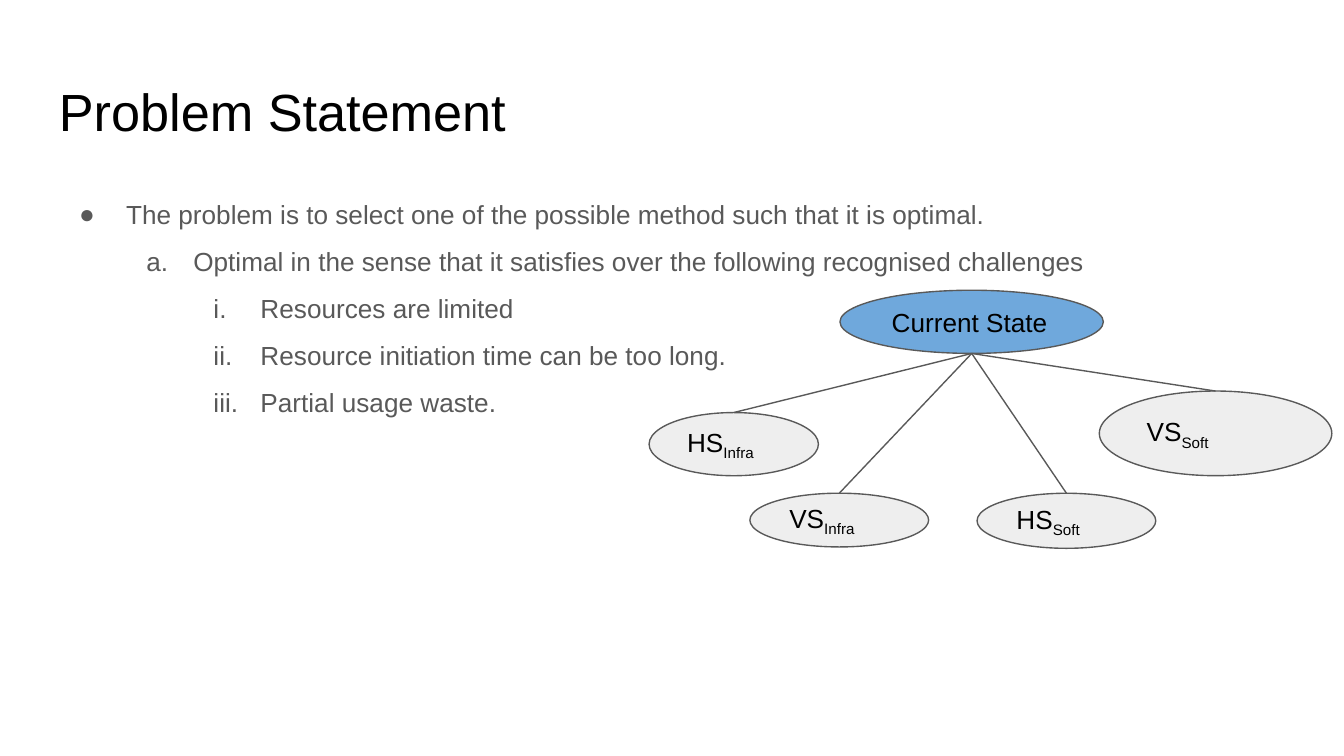
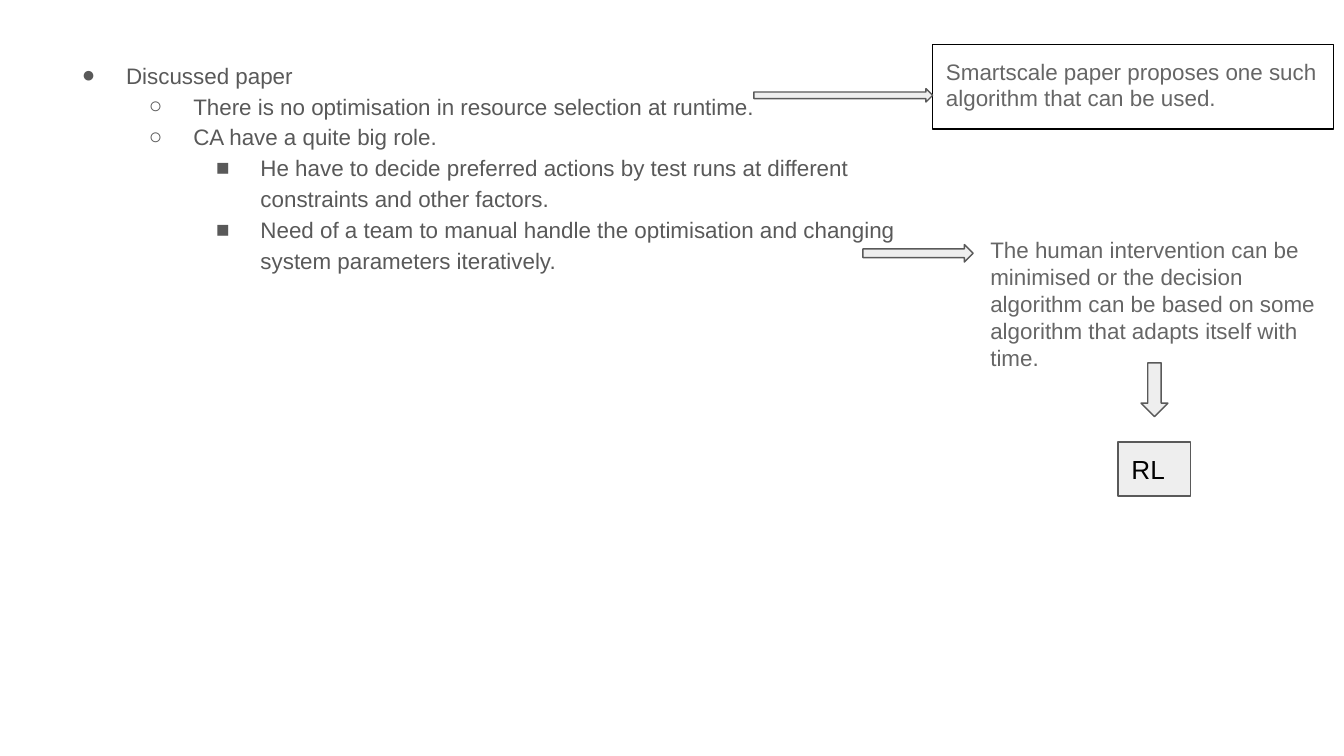
"""Build a two-slide deck on choosing a resource scaling method."""
from dataclasses import dataclass
from typing import NamedTuple

from lxml import etree
from pptx import Presentation
from pptx.dml.color import RGBColor
from pptx.enum.shapes import MSO_CONNECTOR, MSO_SHAPE
from pptx.enum.text import MSO_ANCHOR, PP_ALIGN
from pptx.oxml.ns import qn
from pptx.util import Inches, Pt

ELLIPSE, RECTANGLE = MSO_SHAPE.OVAL, MSO_SHAPE.RECTANGLE
RIGHT_ARROW, DOWN_ARROW = MSO_SHAPE.RIGHT_ARROW, MSO_SHAPE.DOWN_ARROW
STRAIGHT = MSO_CONNECTOR.STRAIGHT
TOP, MIDDLE, LEFT = MSO_ANCHOR.TOP, MSO_ANCHOR.MIDDLE, PP_ALIGN.LEFT
BLANK_LAYOUT = 6


@dataclass(frozen=True)
class Theme:
    """Colours, type and spacing shared by the slides."""
    font: str = "Arial"
    ink: str = "000000"
    body: str = "595959"
    note: str = "666666"
    white: str = "FFFFFF"
    pale: str = "EEEEEE"
    accent: str = "6FA8DC"
    title_size: int = 28
    large_size: int = 14
    small_size: int = 12
    line_width: float = 0.75
    inset: float = 0.1
    indent_step: float = 0.5


THEME = Theme()


class Box(NamedTuple):
    """A rectangle in inches."""
    left: float
    top: float
    width: float
    height: float

    def inside(self, left, top, width, height):
        """Return a box whose offset is measured from this one."""
        return Box(self.left + left, self.top + top, width, height)

    def lengths(self):
        """Return the four values as slide lengths."""
        return [Inches(value) for value in self]

    def top_middle(self):
        """Return the middle of the top edge."""
        return self.left + self.width / 2, self.top

    def bottom_middle(self):
        """Return the middle of the bottom edge."""
        return self.left + self.width / 2, self.top + self.height


class Item(NamedTuple):
    """A list entry with its level and bullet."""
    text: str
    level: int
    bullet: str


DISC, RING, SQUARE = "●", "○", "■"
LETTERS, ROMANS = "alphaLcPeriod", "romanLcPeriod"

PROBLEM = [
    Item("The problem is to select one of the possible method such that it is optimal.", 0, DISC),
    Item("Optimal in the sense that it satisfies over the following recognised challenges", 1, LETTERS),
    Item("Resources are limited", 2, ROMANS),
    Item("Resource initiation time can be too long.", 2, ROMANS),
    Item("Partial usage waste.", 2, ROMANS),
]
DISCUSSION = [
    Item("Discussed paper", 0, DISC),
    Item("There is no optimisation in resource selection at runtime.", 1, RING),
    Item("CA have a quite big role.", 1, RING),
    Item("He have to decide preferred actions by test runs at different "
         "constraints and other factors.", 2, SQUARE),
    Item("Need of a team to manual handle the optimisation and changing "
         "system parameters iteratively.", 2, SQUARE),
]
METHODS = [
    ("HS", "Infra", (0, 0.91, 1.26, 0.47)),
    ("VS", "Infra", (0.75, 1.51, 1.33, 0.4)),
    ("HS", "Soft", (2.44, 1.51, 1.33, 0.41)),
    ("VS", "Soft", (3.35, 0.75, 1.73, 0.63)),
]


def color(value):
    """Turn a hex value into a colour."""
    return RGBColor.from_string(value)


def write(shape, text, *, size=THEME.large_size, ink=THEME.ink, anchor=TOP,
          subscript="", para=None):
    """Write text and an optional subscript into a shape and return the paragraph."""
    frame = shape.text_frame
    frame.word_wrap = True
    frame.vertical_anchor = anchor
    frame.margin_left = frame.margin_right = Inches(THEME.inset)
    frame.margin_top = frame.margin_bottom = Inches(THEME.inset)
    para = para or frame.paragraphs[0]
    para.alignment = LEFT
    for index, words in enumerate(filter(None, (text, subscript))):
        span = para.add_run()
        span.text = words
        span.font.name = THEME.font
        span.font.size = Pt(size)
        span.font.color.rgb = color(ink)
        if index:
            span.font._element.set("baseline", "-25000")
    return para


def add_text(page, box, text, **style):
    """Add a text box with one paragraph."""
    shape = page.shapes.add_textbox(*box.lengths())
    write(shape, text, **style)


def add_figure(page, kind, box, *, fill=THEME.pale, line=THEME.body):
    """Add a flat outlined preset shape."""
    shape = page.shapes.add_shape(kind, *box.lengths())
    shape.shadow.inherit = False
    if fill:
        shape.fill.solid()
        shape.fill.fore_color.rgb = color(fill)
    else:
        shape.fill.background()
    shape.line.color.rgb = color(line)
    shape.line.width = Pt(THEME.line_width)
    return shape


def add_line(page, start, end):
    """Join two points with a straight connector."""
    line = page.shapes.add_connector(STRAIGHT, *[Inches(v) for v in (*start, *end)])
    line.line.color.rgb = color(THEME.body)
    line.line.width = Pt(THEME.line_width)
    etree.SubElement(line._element.spPr, qn("a:effectLst"))


def set_bullet(para, item, hanging):
    """Give a paragraph its level, indent and bullet."""
    para.level = item.level
    props = para._p.get_or_add_pPr()
    props.set("marL", str(Inches(THEME.indent_step * (item.level + 1))))
    props.set("indent", str(-Inches(hanging)))
    tint = etree.SubElement(props, qn("a:buClr"))
    etree.SubElement(tint, qn("a:srgbClr"), val=THEME.body)
    etree.SubElement(props, qn("a:buFont"), typeface=THEME.font)
    if item.bullet in (LETTERS, ROMANS):
        etree.SubElement(props, qn("a:buAutoNum"), type=item.bullet)
    else:
        etree.SubElement(props, qn("a:buChar"), char=item.bullet)


def add_outline(page, box, items, *, size, spacing, hanging):
    """Add a multilevel bulleted list."""
    shape = page.shapes.add_textbox(*box.lengths())
    for index, item in enumerate(items):
        para = shape.text_frame.add_paragraph() if index else None
        para = write(shape, item.text, size=size, ink=THEME.body, para=para)
        para.line_spacing = spacing
        set_bullet(para, item, hanging)


def add_method_tree(page, box):
    """Draw the current state with the methods that branch from it."""
    root = box.inside(1.42, 0, 1.96, 0.47)
    write(add_figure(page, ELLIPSE, root, fill=THEME.accent), "Current State", anchor=MIDDLE)
    leaves = [box.inside(*place) for _, _, place in METHODS]
    for (name, subscript, _), leaf in zip(METHODS, leaves):
        write(add_figure(page, ELLIPSE, leaf), name, subscript=subscript, anchor=MIDDLE)
    for leaf in leaves:
        add_line(page, root.bottom_middle(), leaf.top_middle())


def add_selection_callout(page, box):
    """Draw the arrow to the framed remark on resource selection."""
    remark = add_figure(page, RECTANGLE, box.inside(1.33, 0, 2.98, 0.63),
                        fill=None, line=THEME.ink)
    write(remark, "Smartscale paper proposes one such algorithm that can be used.",
          size=THEME.small_size, ink=THEME.note)
    add_figure(page, RIGHT_ARROW, box.inside(0, 0.33, 1.33, 0.1))


def add_learning_callout(page, box):
    """Draw the remark on human intervention that leads down to RL."""
    add_figure(page, RIGHT_ARROW, box.inside(0, 0.16, 0.82, 0.13))
    add_text(page, box.inside(0.85, 0, 2.65, 1.25),
             "The human intervention can be minimised or the decision algorithm can be "
             "based on some algorithm that adapts itself with time.",
             size=THEME.small_size, ink=THEME.note)
    write(add_figure(page, RECTANGLE, box.inside(1.9, 1.63, 0.54, 0.4)), "RL", anchor=MIDDLE)
    add_figure(page, DOWN_ARROW, box.inside(2.07, 1.04, 0.2, 0.4))


def add_page(deck):
    """Add a blank white slide."""
    page = deck.slides.add_slide(deck.slide_layouts[BLANK_LAYOUT])
    page.background.fill.solid()
    page.background.fill.fore_color.rgb = color(THEME.white)
    return page


def build_problem_page(deck):
    """Build the slide that states the problem."""
    page = add_page(deck)
    add_text(page, Box(0.34, 0.49, 9.32, 0.63), "Problem Statement", size=THEME.title_size)
    add_outline(page, Box(0.34, 1.26, 8.84, 1.81), PROBLEM,
                size=THEME.large_size, spacing=1.5, hanging=0.35)
    add_method_tree(page, Box(4.83, 2.16, 5.08, 1.92))


def build_discussion_page(deck):
    """Build the slide that discusses the paper."""
    page = add_page(deck)
    add_outline(page, Box(0.34, 0.33, 6.5, 4.96), DISCUSSION,
                size=THEME.small_size, spacing=1.15, hanging=0.33)
    add_selection_callout(page, Box(5.61, 0.33, 4.31, 0.63))
    add_learning_callout(page, Box(6.42, 1.66, 3.5, 2.03))


def main():
    """Build and save the deck."""
    deck = Presentation()
    deck.slide_width = Inches(10)
    deck.slide_height = deck.slide_width * 9 // 16
    build_problem_page(deck)
    build_discussion_page(deck)
    deck.save("out.pptx")


if __name__ == "__main__":
    main()
